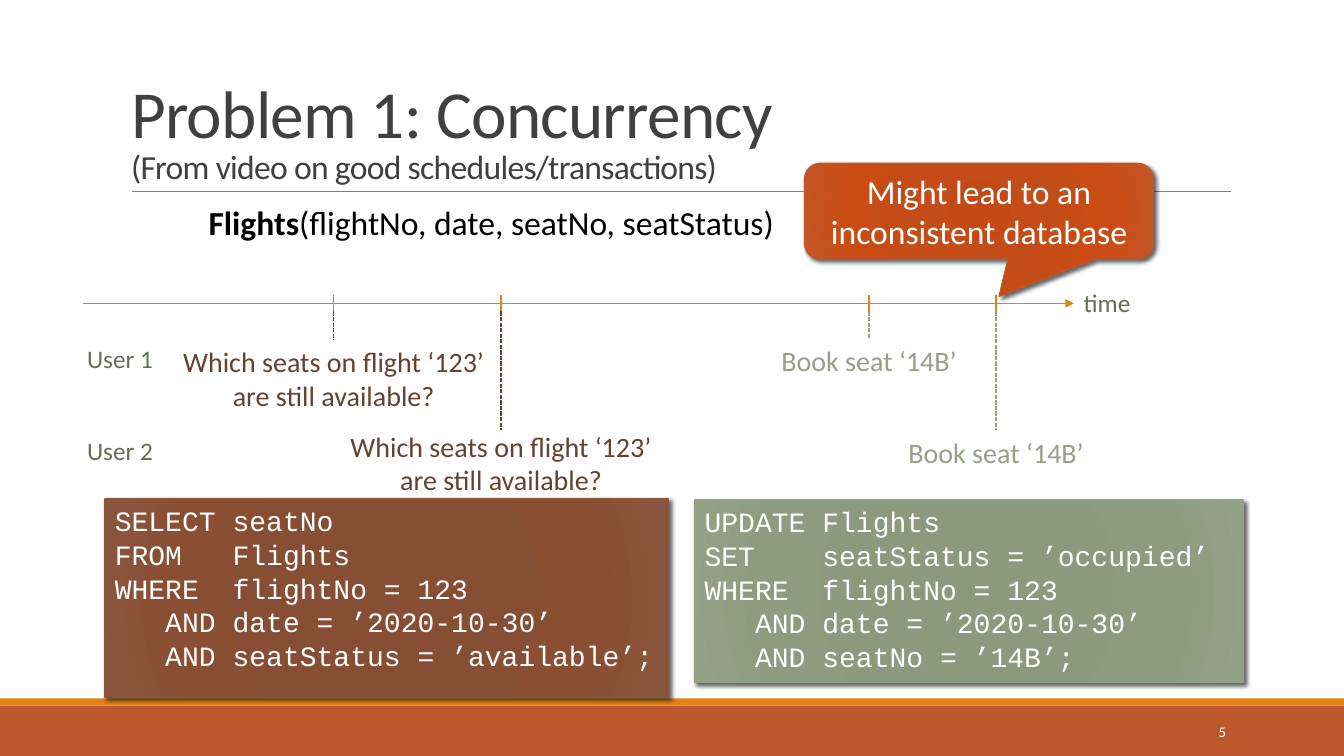
from dataclasses import dataclass

from lxml.etree import SubElement
from pptx import Presentation
from pptx.dml.color import RGBColor
from pptx.enum.dml import MSO_LINE
from pptx.enum.shapes import MSO_CONNECTOR, MSO_SHAPE
from pptx.enum.text import MSO_ANCHOR, MSO_AUTO_SIZE, PP_ALIGN
from pptx.oxml import parse_xml
from pptx.oxml.ns import nsdecls, qn
from pptx.util import Inches, Pt


@dataclass(frozen=True)
class Theme:
    sans: str = "Calibri"
    mono: str = "Courier New"
    title: float = 48
    heading: float = 24
    body: float = 20
    label: float = 18
    footer: float = 10.5
    black: str = "000000"
    white: str = "FFFFFF"
    grey: str = "404040"
    rule: str = "808080"
    orange: str = "E48312"
    rust: str = "BD582C"
    olive: str = "637052"
    brown: str = "654130"
    sage: str = "94A088"
    brown_edge: str = "865640"
    brown_glow: tuple = ("874C32", "864E34", "8A4E33", "8A553D")
    sage_glow: tuple = ("8A987B", "8B997D", "8D9C7E", "94A187")
    rust_glow: tuple = ("C44A15", "C34C18", "C94C15", "C45525")


THEME = Theme()
TIMELINE_Y = 3.01


def format_span(span, size, color, **values):
    for name, value in {"name": THEME.sans, "size": Pt(size), **values}.items():
        setattr(span.font, name, value)
    span.font.color.rgb = RGBColor.from_string(color)


def write_lines(frame, lines, size, color, align=PP_ALIGN.LEFT, **values):
    """Write each line as one paragraph."""
    for index, line in enumerate(lines):
        para = frame.paragraphs[0] if index == 0 else frame.add_paragraph()
        para.alignment = align
        span = para.add_run()
        span.text = line
        format_span(span, size, color, **values)


def add_text(page, box, lines, size, color, align=PP_ALIGN.LEFT, anchor=MSO_ANCHOR.TOP):
    frame = page.shapes.add_textbox(*map(Inches, box)).text_frame
    frame.word_wrap = False
    frame.vertical_anchor = anchor
    write_lines(frame, lines, size, color, align)
    return frame


def add_line(page, start, end, color, width=1.0, dash=None):
    line = page.shapes.add_connector(MSO_CONNECTOR.STRAIGHT, *map(Inches, (*start, *end)))
    line.line.color.rgb = RGBColor.from_string(color)
    line.line.width = Pt(width)
    if dash:
        line.line.dash_style = dash
    SubElement(line._element.spPr, qn("a:effectLst"))
    return line


def add_panel(page, kind, box, edge, glow):
    """Add a shape with a radial gradient and a soft drop shadow."""
    panel = page.shapes.add_shape(kind, *map(Inches, box))
    panel.fill.solid()
    panel.line.color.rgb = RGBColor.from_string(edge)
    panel.line.width = Pt(1)
    panel.shadow.inherit = False
    stops = "".join(
        f'<a:gs pos="{place * 1000}"><a:srgbClr val="{color}"/></a:gs>'
        for place, color in zip((0, 34, 70, 100), glow)
    )
    properties = panel._element.spPr
    properties.replace(properties.find(qn("a:solidFill")), parse_xml(
        f'<a:gradFill {nsdecls("a")} rotWithShape="1"><a:gsLst>{stops}</a:gsLst>'
        '<a:path path="circle"><a:fillToRect l="100000" t="100000" r="100000" b="100000"/>'
        '</a:path></a:gradFill>'))
    properties.find(qn("a:effectLst")).append(parse_xml(
        f'<a:outerShdw {nsdecls("a")} blurRad="{Pt(3)}" dist="{Pt(2)}" dir="2700000" '
        'rotWithShape="0"><a:srgbClr val="000000"><a:alpha val="60000"/></a:srgbClr>'
        '</a:outerShdw>'))
    return panel


def add_footer(page, box, number):
    left, top, width, height = box
    for y, band, color in ((top + 0.07, height - 0.07, THEME.rust), (top, 0.07, THEME.orange)):
        bar = page.shapes.add_shape(MSO_SHAPE.RECTANGLE, *map(Inches, (left, y, width, band)))
        bar.fill.solid()
        bar.fill.fore_color.rgb = RGBColor.from_string(color)
        bar.line.fill.background()
        bar.shadow.inherit = False
    add_text(page, (left + width - 2.5, top + 0.13, 1.43, 0.4), [number],
             THEME.footer, THEME.white, PP_ALIGN.RIGHT, MSO_ANCHOR.MIDDLE)


def add_title(page, box, title, subtitle):
    left, top, width, height = box
    holder = page.shapes.title
    for name, value in zip(("left", "top", "width", "height"), box):
        setattr(holder, name, Inches(value))
    frame = holder.text_frame
    for name, value in {"word_wrap": True, "auto_size": MSO_AUTO_SIZE.NONE,
                        "vertical_anchor": MSO_ANCHOR.BOTTOM}.items():
        setattr(frame, name, value)
    para = frame.paragraphs[0]
    para.alignment = PP_ALIGN.LEFT
    para.line_spacing = 0.85
    for text, size in ((title, THEME.title), (subtitle, THEME.heading)):
        if para.runs:
            para.add_line_break()
        span = para.add_run()
        span.text = text
        format_span(span, size, THEME.grey)
        span._r.get_or_add_rPr().set("spc", "-50")
    bottom = top + height
    add_line(page, (left + 0.11, bottom), (left + width + 0.01, bottom), THEME.rule, 0.5)


def add_code(page, box, lines, edge, glow):
    panel = add_panel(page, MSO_SHAPE.RECTANGLE, box, edge, glow)
    panel.text_frame.word_wrap = True
    panel.text_frame.vertical_anchor = MSO_ANCHOR.TOP
    write_lines(panel.text_frame, lines, THEME.body, THEME.white, name=THEME.mono)


def add_axis(page, left, right):
    axis = add_line(page, (left, TIMELINE_Y), (right, TIMELINE_Y), THEME.orange)
    SubElement(axis.line._get_or_add_ln(), qn("a:tailEnd"), type="triangle")
    add_text(page, (right, TIMELINE_Y - 0.21, 0.77, 0.4), ["time"], THEME.label, THEME.olive)


def add_event(page, center, dash_end, box, lines, color):
    """Mark a moment on the axis and label it; box is the label's top, width and height."""
    top, width, height = box
    tick_end = TIMELINE_Y + 0.08
    add_text(page, (center - width / 2, top, width, height), lines,
             THEME.body, color, PP_ALIGN.CENTER)
    add_line(page, (center, tick_end), (center, dash_end), color, dash=MSO_LINE.SQUARE_DOT)
    add_line(page, (center, TIMELINE_Y - 0.08), (center, tick_end), THEME.orange)


def add_callout(page, box, lines):
    callout = add_panel(page, MSO_SHAPE.ROUNDED_RECTANGULAR_CALLOUT, box,
                        THEME.rust, THEME.rust_glow)
    for index, value in enumerate((0.058, 0.888, 0.167)):
        callout.adjustments[index] = value
    callout.text_frame.word_wrap = True
    callout.text_frame.vertical_anchor = MSO_ANCHOR.MIDDLE
    write_lines(callout.text_frame, lines, THEME.heading, THEME.white, PP_ALIGN.CENTER)


def main():
    deck = Presentation()
    deck.slide_width, deck.slide_height = Inches(13.33), Inches(7.5)
    page = deck.slides.add_slide(deck.slide_layouts[5])

    add_footer(page, (0, 6.93, 13.33, 0.57), "5")
    add_title(page, (1.2, 0.31, 11, 1.59), "Problem 1: Concurrency",
              "(From video on good schedules/transactions)")
    for user, top in (("User 1", 3.36), ("User 2", 4.27)):
        add_text(page, (0.76, top, 0.86, 0.4), [user], THEME.label, THEME.olive, PP_ALIGN.CENTER)

    add_code(page, (1.04, 4.95, 5.59, 1.97), [
        "SELECT seatNo",
        "FROM   Flights",
        "WHERE  flightNo = 123",
        "   AND date = ’2020-10-30’",
        "   AND seatStatus = ’available’;",
    ], THEME.brown_edge, THEME.brown_glow)
    add_code(page, (6.89, 4.96, 5.44, 1.81), [
        "UPDATE Flights",
        "SET    seatStatus = ’occupied’",
        "WHERE  flightNo = 123",
        "   AND date = ’2020-10-30’",
        "   AND seatNo = ’14B’;",
    ], THEME.sage, THEME.sage_glow)

    schema = add_text(page, (1.97, 1.95, 6.02, 0.5), ["Flights"], THEME.heading, THEME.black)
    schema.paragraphs[0].runs[0].font.bold = True
    columns = schema.paragraphs[0].add_run()
    columns.text = "(flightNo, date, seatNo, seatStatus)"
    format_span(columns, THEME.heading, THEME.black)

    add_axis(page, 0.82, 10.65)
    question = ["Which seats on flight ‘123’", "are still available?"]
    booking = ["Book seat ‘14B’"]
    for center, dash_end, top in ((3.31, 3.37, 3.37), (4.97, 4.27, 4.21)):
        add_event(page, center, dash_end, (top, 3.22, 0.77), question, THEME.brown)
    for center, top in ((8.62, 3.36), (9.88, 4.27)):
        add_event(page, center, top, (top, 1.96, 0.44), booking, THEME.sage)
    add_callout(page, (7.98, 1.62, 3.46, 0.95), ["Might lead to an", "inconsistent database"])

    deck.save("out.pptx")


if __name__ == "__main__":
    main()
